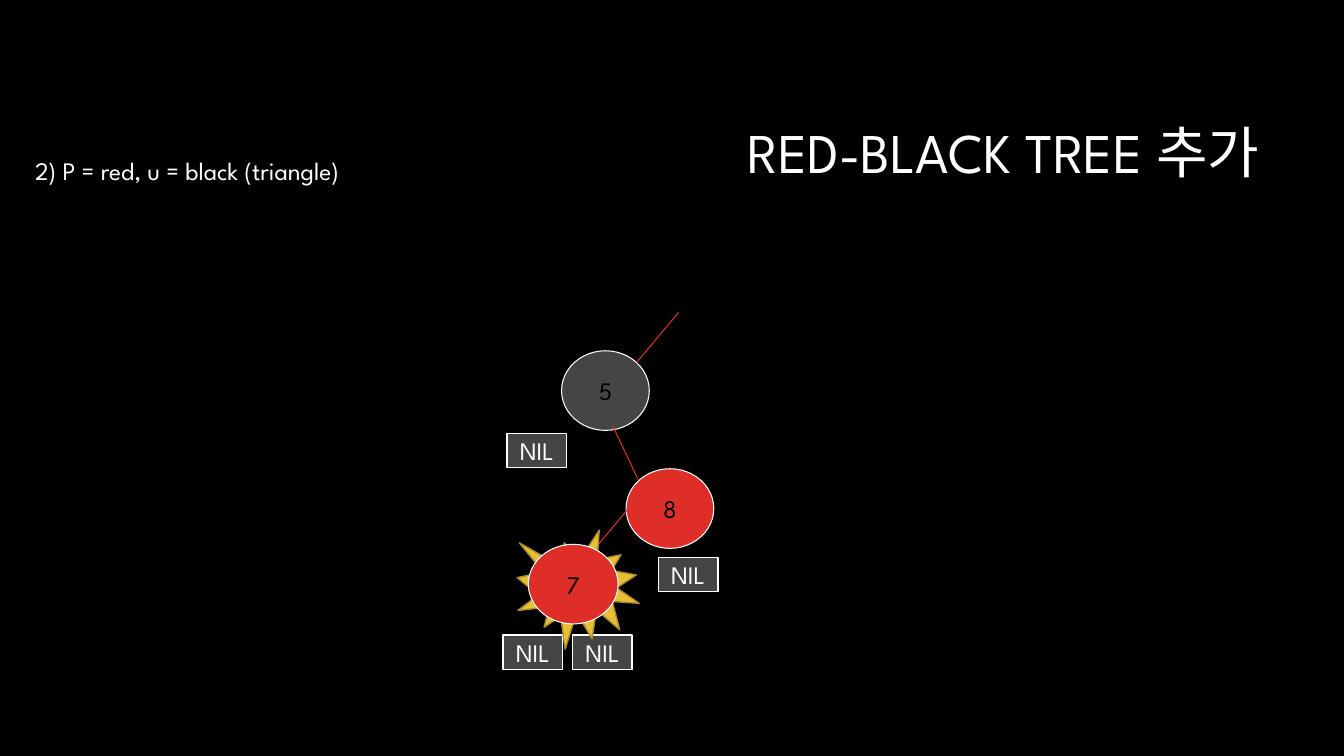
from dataclasses import dataclass

from lxml.etree import SubElement
from pptx import Presentation
from pptx.dml.color import RGBColor
from pptx.enum.shapes import MSO_CONNECTOR, MSO_SHAPE
from pptx.enum.text import MSO_ANCHOR, PP_ALIGN
from pptx.oxml.ns import qn
from pptx.util import Inches, Pt

# Content: positions and sizes in inches
TITLE = "RED-BLACK TREE 추가"
TITLE_BOX = (3.17, 0.84, 9.42, 1.41)
CASE = "2) P = red, u = black (triangle)"
CASE_BOX = (0.25, 1.49, 6.67, 0.71)
NODE_SIZE = (0.87, 0.79)
NIL_SIZE = (0.59, 0.34)
UPPER_NODES = [("5", "black", (5.57, 3.48)), ("8", "red", (6.21, 4.65))]
NEW_NODE = ("7", "red", (5.24, 5.4))
NEW_NODE_SIZE = (0.89, 0.79)
BURST_BOX = (5.13, 5.26, 1.21, 1.18)
NILS = [(5.03, 4.3), (6.53, 5.53), (4.99, 6.3), (5.68, 6.3)]
EDGES = [
    ((6.73, 3.1), (6.32, 3.59)),
    ((6.08, 4.23), (6.33, 4.76)),
    ((6.28, 4.99), (5.86, 5.49)),
]


@dataclass(frozen=True)
class Theme:
    font: str = "League Spartan"
    title_size: int = 40
    text_size: int = 18
    background: str = "000000"
    light: str = "FFFFFF"
    dark: str = "000000"
    black: str = "454545"
    red: str = "DF2E28"
    burst: str = "E9BF35"
    burst_line: str = "AC8D27"
    thin: float = 0.75
    thick: float = 1


THEME = Theme()


def color(value):
    return RGBColor.from_string(value)


def inches(values):
    return [Inches(value) for value in values]


def write(shape, text, text_color, size=THEME.text_size, align=PP_ALIGN.CENTER,
          anchor=MSO_ANCHOR.MIDDLE):
    frame = shape.text_frame
    frame.word_wrap = True
    frame.vertical_anchor = anchor
    frame.text = text
    paragraph = frame.paragraphs[0]
    paragraph.alignment = align
    paragraph.font.name = THEME.font
    paragraph.font.size = Pt(size)
    paragraph.font.color.rgb = color(text_color)
    return paragraph


def add_figure(slide, kind, box, fill, line, width):
    shape = slide.shapes.add_shape(kind, *inches(box))
    shape.shadow.inherit = False
    shape.fill.solid()
    shape.fill.fore_color.rgb = color(fill)
    shape.line.color.rgb = color(line)
    shape.line.width = Pt(width)
    return shape


def add_node(slide, label, kind, corner, size=NODE_SIZE):
    fill = {"black": THEME.black, "red": THEME.red}[kind]
    node = add_figure(slide, MSO_SHAPE.OVAL, corner + size, fill, THEME.light, THEME.thin)
    write(node, label, THEME.dark)


def add_edge(slide, start, end):
    edge = slide.shapes.add_connector(MSO_CONNECTOR.STRAIGHT, *inches(start + end))
    edge.line.color.rgb = color(THEME.red)
    edge.line.width = Pt(THEME.thin)
    SubElement(edge._element.spPr, qn("a:effectLst"))


def main():
    presentation = Presentation()
    presentation.slide_width, presentation.slide_height = inches((13.33, 7.5))
    slide = presentation.slides.add_slide(presentation.slide_layouts[5])
    slide.background.fill.solid()
    slide.background.fill.fore_color.rgb = color(THEME.background)

    # Title and case description
    title = slide.shapes.title
    title.left, title.top, title.width, title.height = inches(TITLE_BOX)
    paragraph = write(title, TITLE, THEME.light, THEME.title_size, PP_ALIGN.RIGHT)
    paragraph.line_spacing = 0.9
    case = slide.shapes.add_textbox(*inches(CASE_BOX))
    write(case, CASE, THEME.light, align=PP_ALIGN.LEFT, anchor=MSO_ANCHOR.TOP)

    # Tree: upper nodes, edges and NIL leaves
    for label, kind, corner in UPPER_NODES:
        add_node(slide, label, kind, corner)
    for start, end in EDGES:
        add_edge(slide, start, end)
    for corner in NILS:
        leaf = add_figure(slide, MSO_SHAPE.RECTANGLE, corner + NIL_SIZE,
                          THEME.black, THEME.light, THEME.thick)
        write(leaf, "NIL", THEME.light)

    # Newly inserted node on its burst
    add_figure(slide, MSO_SHAPE.EXPLOSION1, BURST_BOX,
               THEME.burst, THEME.burst_line, THEME.thick)
    add_node(slide, *NEW_NODE, size=NEW_NODE_SIZE)

    presentation.save("out.pptx")


if __name__ == "__main__":
    main()
